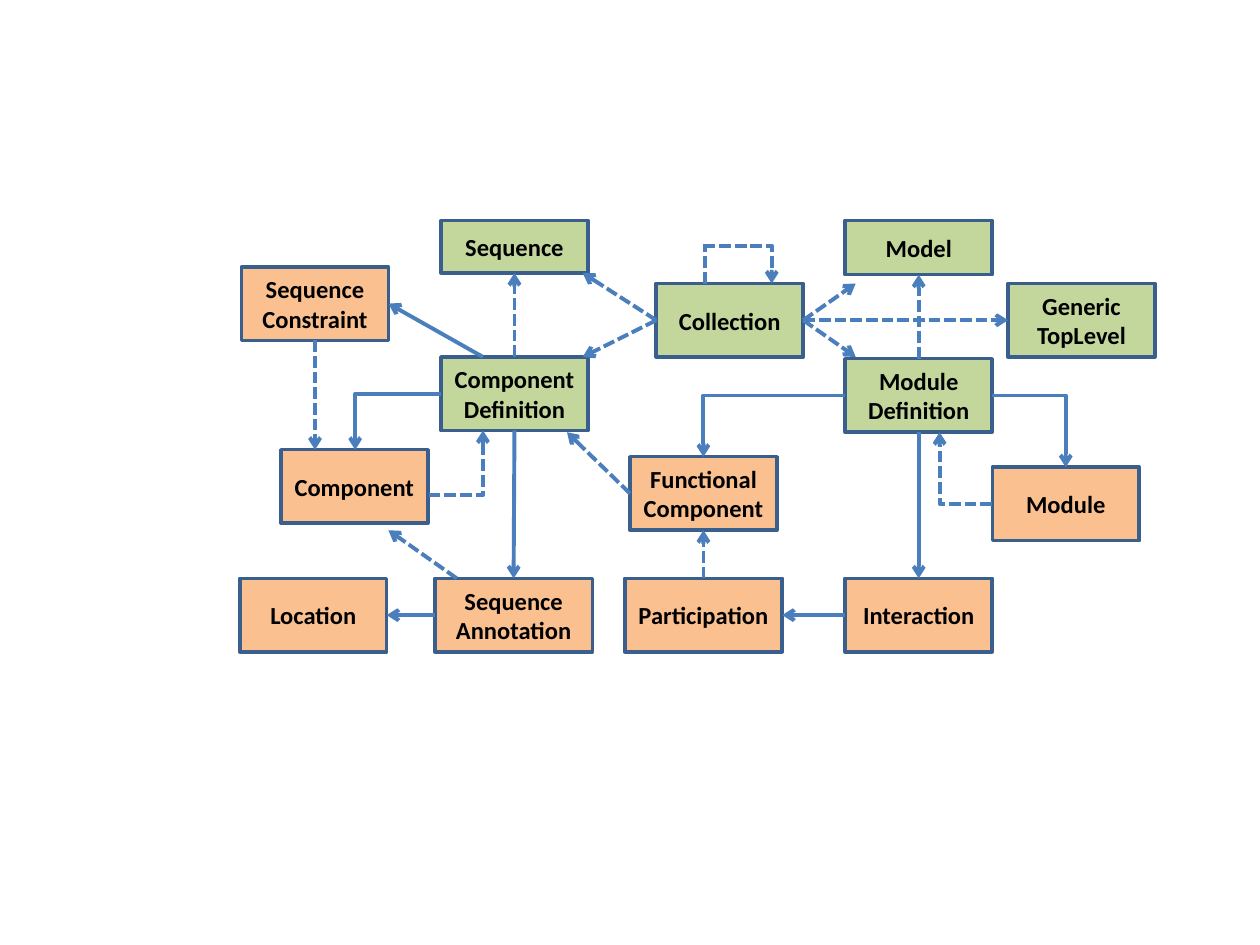
import pptx
import pptx.util
import pptx.dml.color
import pptx.enum.dml
import pptx.enum.shapes
import pptx.enum.text
import pptx.oxml.ns
import lxml.etree

Pt = pptx.util.Pt
RGB = pptx.dml.color.RGBColor.from_string
CONNECTOR = pptx.enum.shapes.MSO_CONNECTOR

THEME = {
    "top": "C3D69B", "child": "FAC090", "border": "3A5F8C", "arrow": "4B7EBC",
    "text": "000000", "font": "Calibri", "size": 14, "border_pt": 2, "arrow_pt": 2.25,
}
BOX_W, WIDE_W, BOX_H = 84, 90, 42
TOP, LEFT, BOTTOM, RIGHT = range(4)
BOTTOM_ROW = 330.5

# name: (text, kind, left, top, width, height)
BOXES = {
    "sequence": ("Sequence", "top", 252, 126, BOX_W, 30),
    "component_def": ("Component Definition", "top", 252, 204, BOX_W, BOX_H),
    "collection": ("Collection", "top", 375, 162, BOX_W, BOX_H),
    "model": ("Model", "top", 483, 126, BOX_W, 31),
    "module_def": ("Module Definition", "top", 483, 205, BOX_W, BOX_H),
    "constraint": ("Sequence Constraint", "child", 138, 152.5, BOX_W, BOX_H),
    "annotation": ("Sequence Annotation", "child", 248.5, BOTTOM_ROW, WIDE_W, BOX_H),
    "location": ("Location", "child", 137, BOTTOM_ROW, BOX_W, BOX_H),
    "component": ("Component", "child", 160.5, 257, BOX_W, BOX_H),
    "functional": ("Functional Component", "child", 360, 261, BOX_W, BOX_H),
    "participation": ("Participation", "child", 357, BOTTOM_ROW, WIDE_W, BOX_H),
    "interaction": ("Interaction", "child", 483, BOTTOM_ROW, BOX_W, BOX_H),
    "module": ("Module", "child", 567, 267, BOX_W, BOX_H),
    "generic": ("Generic\nTopLevel", "top", 576, 162, BOX_W, BOX_H),
}

# An end is (box name, side) or a point (x, y).
DASHED_LINES = [
    (("component_def", TOP), ("sequence", BOTTOM)),
    (("collection", LEFT), (333, 156)),
    (("collection", LEFT), (333, 204)),
    (("collection", RIGHT), (489, 162)),
    (("collection", RIGHT), (489, 204)),
    (("module_def", TOP), ("model", BOTTOM)),
    (("participation", TOP), ("functional", BOTTOM)),
    (("functional", LEFT), (324, 247)),
    ((180, 194.5), (180, 257)),
    ((261, 330.5), (222, 303)),
    (("collection", RIGHT), ("generic", LEFT)),
]
SOLID_LINES = [
    (("module_def", BOTTOM), ("interaction", TOP)),
    (("interaction", LEFT), ("participation", RIGHT)),
    (("component_def", BOTTOM), ("annotation", TOP)),
    ((276, 204), ("constraint", RIGHT)),
    (("annotation", LEFT), ("location", RIGHT)),
]
# Elbows leave horizontally and arrive vertically.
DASHED_ELBOWS = [
    ((567, 288), (537, 247)),
    ((245, 283), (276, 246)),
    ((402, 140.5), (441, 162)),
]
SOLID_ELBOWS = [
    ((567, 226), (609, 267)),
    ((483, 226), (402, 261)),
    ((252, 225), (203, 257)),
]
LOOP_STEM = ((403, 162), (403, 139.5))


def write_text(tf, text, *, size, color, bold=False):
    tf.word_wrap = True
    tf.vertical_anchor = pptx.enum.text.MSO_ANCHOR.MIDDLE
    for i, line in enumerate(text.split("\n")):
        p = tf.add_paragraph() if i else tf.paragraphs[0]
        p.alignment = pptx.enum.text.PP_ALIGN.CENTER
        r = p.add_run()
        r.text = line
        r.font.name = THEME["font"]
        r.font.size = Pt(size)
        r.font.bold = bold
        r.font.color.rgb = RGB(color)


def add_box(shapes, text, kind, *frame):
    sp = shapes.add_shape(pptx.enum.shapes.MSO_SHAPE.RECTANGLE, *map(Pt, frame))
    sp.shadow.inherit = False
    sp.fill.solid()
    sp.fill.fore_color.rgb = RGB(THEME[kind])
    sp.line.color.rgb = RGB(THEME["border"])
    sp.line.width = Pt(THEME["border_pt"])
    write_text(sp.text_frame, text, size=THEME["size"], color=THEME["text"], bold=True)
    return sp


def add_line(shapes, boxes, begin, end, *, dashed=False, elbow=False, arrow=True):
    points = [(0, 0) if e[0] in boxes else e for e in (begin, end)]
    kind = CONNECTOR.ELBOW if elbow else CONNECTOR.STRAIGHT
    line = shapes.add_connector(kind, *(Pt(v) for point in points for v in point))
    if begin[0] in boxes:
        line.begin_connect(boxes[begin[0]], begin[1])
    if end[0] in boxes:
        line.end_connect(boxes[end[0]], end[1])
    line.line.color.rgb = RGB(THEME["arrow"])
    line.line.width = Pt(THEME["arrow_pt"])
    if dashed:
        line.line.dash_style = pptx.enum.dml.MSO_LINE.SQUARE_DOT
    qn = pptx.oxml.ns.qn
    properties = line._element.spPr
    if elbow:
        properties.find(qn("a:prstGeom")).set("prst", "bentConnector2")
    if arrow:
        outline = properties.find(qn("a:ln"))
        lxml.etree.SubElement(outline, qn("a:tailEnd")).set("type", "arrow")
    lxml.etree.SubElement(properties, qn("a:effectLst"))


def main():
    prs = pptx.Presentation()
    prs.slide_width, prs.slide_height = Pt(720), Pt(540)
    shapes = prs.slides.add_slide(prs.slide_layouts[6]).shapes

    boxes = {name: add_box(shapes, *box) for name, box in BOXES.items()}
    for ends, dashed, elbow in (
        (DASHED_LINES, True, False),
        (SOLID_LINES, False, False),
        (DASHED_ELBOWS, True, True),
        (SOLID_ELBOWS, False, True),
    ):
        for begin, end in ends:
            add_line(shapes, boxes, begin, end, dashed=dashed, elbow=elbow)
    add_line(shapes, boxes, *LOOP_STEM, dashed=True, arrow=False)

    prs.save("out.pptx")


if __name__ == "__main__":
    main()
